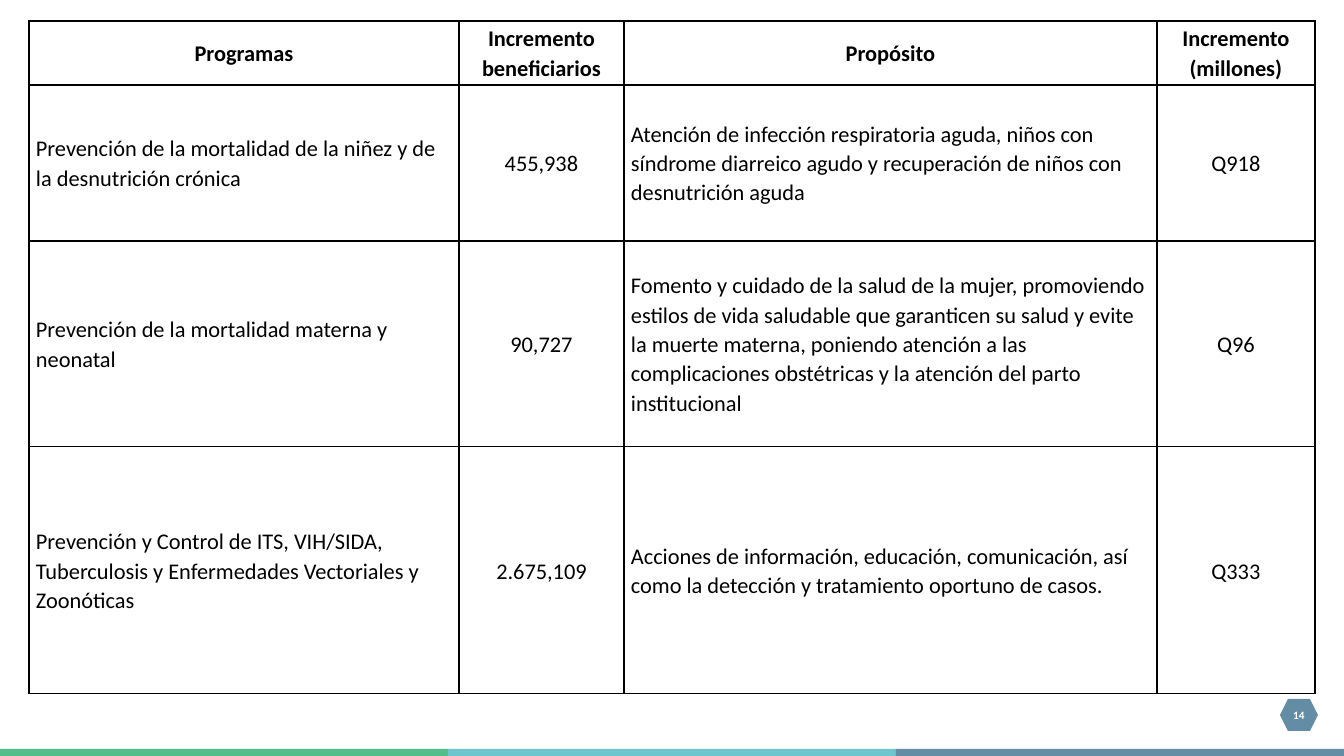
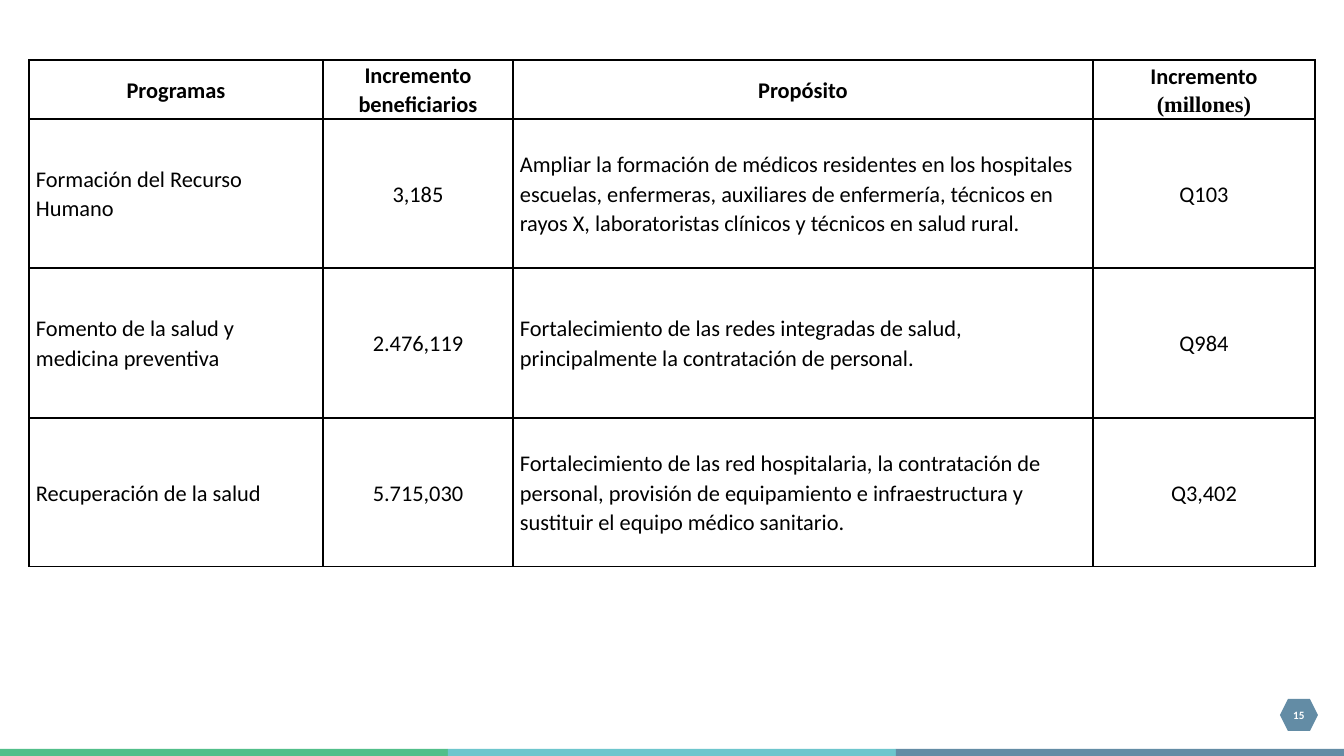
from dataclasses import dataclass

from lxml.etree import SubElement
from pptx import Presentation
from pptx.dml.color import RGBColor
from pptx.enum.shapes import MSO_SHAPE as Shape
from pptx.enum.text import MSO_ANCHOR as Anchor, PP_ALIGN as Align
from pptx.oxml.ns import qn
from pptx.util import Emu, Pt

SLIDE_W, SLIDE_H = 1344, 756
EMU_PER_PX = 12192000 / SLIDE_W


@dataclass(frozen=True)
class Theme:
    green: str = "52BF8A"
    aqua: str = "6DC6CD"
    slate: str = "638CA5"
    ink: str = "000000"
    white: str = "FFFFFF"
    font: str = "Calibri"
    serif: str = "Times New Roman"
    body_size: int = 16
    page_size: int = 8
    line_spacing: float = 1.07
    border: int = 1


THEME = Theme()
HEADINGS = ("Programas", "Incremento beneficiarios", "Propósito", "Incremento\n(millones)")
COLUMN_ALIGNS = (Align.LEFT, Align.CENTER, Align.LEFT, Align.CENTER)

PAGES = (
    dict(
        number=14,
        box=(29, 21, 1286, 673),
        columns=(430, 165, 533, 158),
        rows=(64, 156, 206, 247),
        unit_font=THEME.font,
        programs=(
            ("Prevención de la mortalidad de la niñez y de la desnutrición crónica", "455,938",
             "Atención de infección respiratoria aguda, niños con síndrome diarreico agudo "
             "y recuperación de niños con desnutrición aguda", "Q918"),
            ("Prevención de la mortalidad materna y neonatal", "90,727",
             "Fomento y cuidado de la salud de la mujer, promoviendo estilos de vida saludable "
             "que garanticen su salud y evite la muerte materna, poniendo atención a las "
             "complicaciones obstétricas y la atención del parto institucional", "Q96"),
            ("Prevención y Control de ITS, VIH/SIDA, Tuberculosis y Enfermedades Vectoriales "
             "y Zoonóticas", "2.675,109",
             "Acciones de información, educación, comunicación, así como la detección y "
             "tratamiento oportuno de casos.", "Q333"),
        ),
    ),
    dict(
        number=15,
        box=(29, 60, 1286, 507),
        columns=(294, 190, 580, 222),
        rows=(59, 149, 150, 149),
        unit_font=THEME.serif,
        programs=(
            ("Formación del Recurso Humano", "3,185",
             "Ampliar la formación de médicos residentes en los hospitales escuelas, enfermeras, "
             "auxiliares de enfermería, técnicos en rayos X, laboratoristas clínicos y técnicos "
             "en salud rural.", "Q103"),
            ("Fomento de la salud y medicina preventiva", "2.476,119",
             "Fortalecimiento de las redes integradas de salud, principalmente la contratación "
             "de personal.", "Q984"),
            ("Recuperación de la salud", "5.715,030",
             "Fortalecimiento de las red hospitalaria, la contratación de personal, provisión de "
             "equipamiento e infraestructura y sustituir el equipo médico sanitario.", "Q3,402"),
        ),
    ),
)


def px(length):
    return Emu(round(length * EMU_PER_PX))


def write(frame, text, size=THEME.body_size, color=THEME.ink, bold=False,
          align=Align.LEFT, spacing=THEME.line_spacing, font=THEME.font, second_font=None):
    for index, line in enumerate(text.split("\n")):
        paragraph = frame.add_paragraph() if index else frame.paragraphs[0]
        paragraph.alignment = align
        paragraph.line_spacing = spacing
        run = paragraph.add_run()
        run.text = line
        run.font.name = second_font if index and second_font else font
        run.font.size = Pt(size)
        run.font.bold = bold
        run.font.color.rgb = RGBColor.from_string(color)


def add_block(slide, kind, box, color):
    block = slide.shapes.add_shape(kind, *map(px, box))
    block.shadow.inherit = False
    block.fill.solid()
    block.fill.fore_color.rgb = RGBColor.from_string(color)
    block.line.fill.background()
    return block


def add_footer_band(slide, box):
    left, top, width, height = box
    colors = (THEME.green, THEME.aqua, THEME.slate)
    part = width // len(colors)
    for index, color in enumerate(colors):
        add_block(slide, Shape.RECTANGLE, (left + index * part, top, part, height), color)


def add_page_badge(slide, box, number):
    frame = add_block(slide, Shape.HEXAGON, box, THEME.slate).text_frame
    frame.margin_left = frame.margin_right = frame.margin_top = frame.margin_bottom = 0
    frame.vertical_anchor = Anchor.MIDDLE
    frame.word_wrap = True
    write(frame, str(number), size=THEME.page_size, color=THEME.white, bold=True,
          align=Align.CENTER, spacing=1.0)


def style_cell(cell):
    cell.margin_left = cell.margin_right = px(7)
    cell.margin_top = cell.margin_bottom = 0
    cell.vertical_anchor = Anchor.MIDDLE
    properties = cell._tc.get_or_add_tcPr()
    for side in ("a:lnL", "a:lnR", "a:lnT", "a:lnB"):
        edge = SubElement(properties, qn(side), w=str(Pt(THEME.border)))
        SubElement(SubElement(edge, qn("a:solidFill")), qn("a:srgbClr"), val=THEME.ink)
    cell.fill.background()


def add_program_table(slide, box, columns, rows, programs, unit_font):
    table = slide.shapes.add_table(len(rows), len(columns), *map(px, box)).table
    table.horz_banding = False
    for column, width in zip(table.columns, columns):
        column.width = px(width)
    for row, height in zip(table.rows, rows):
        row.height = px(height)
    for r, entries in enumerate((HEADINGS, *programs)):
        heading = r == 0
        for c, entry in enumerate(entries):
            cell = table.cell(r, c)
            style_cell(cell)
            write(cell.text_frame, entry, bold=heading, second_font=unit_font,
                  align=Align.CENTER if heading else COLUMN_ALIGNS[c])


def add_program_slide(deck, number, **table):
    slide = deck.slides.add_slide(deck.slide_layouts[6])
    add_footer_band(slide, (0, SLIDE_H - 7, SLIDE_W, 7))
    add_page_badge(slide, (1280, 699, 38, 32), number)
    add_program_table(slide, **table)


def main():
    deck = Presentation()
    deck.slide_width, deck.slide_height = px(SLIDE_W), px(SLIDE_H)
    for page in PAGES:
        add_program_slide(deck, **page)
    deck.save("out.pptx")


if __name__ == "__main__":
    main()
